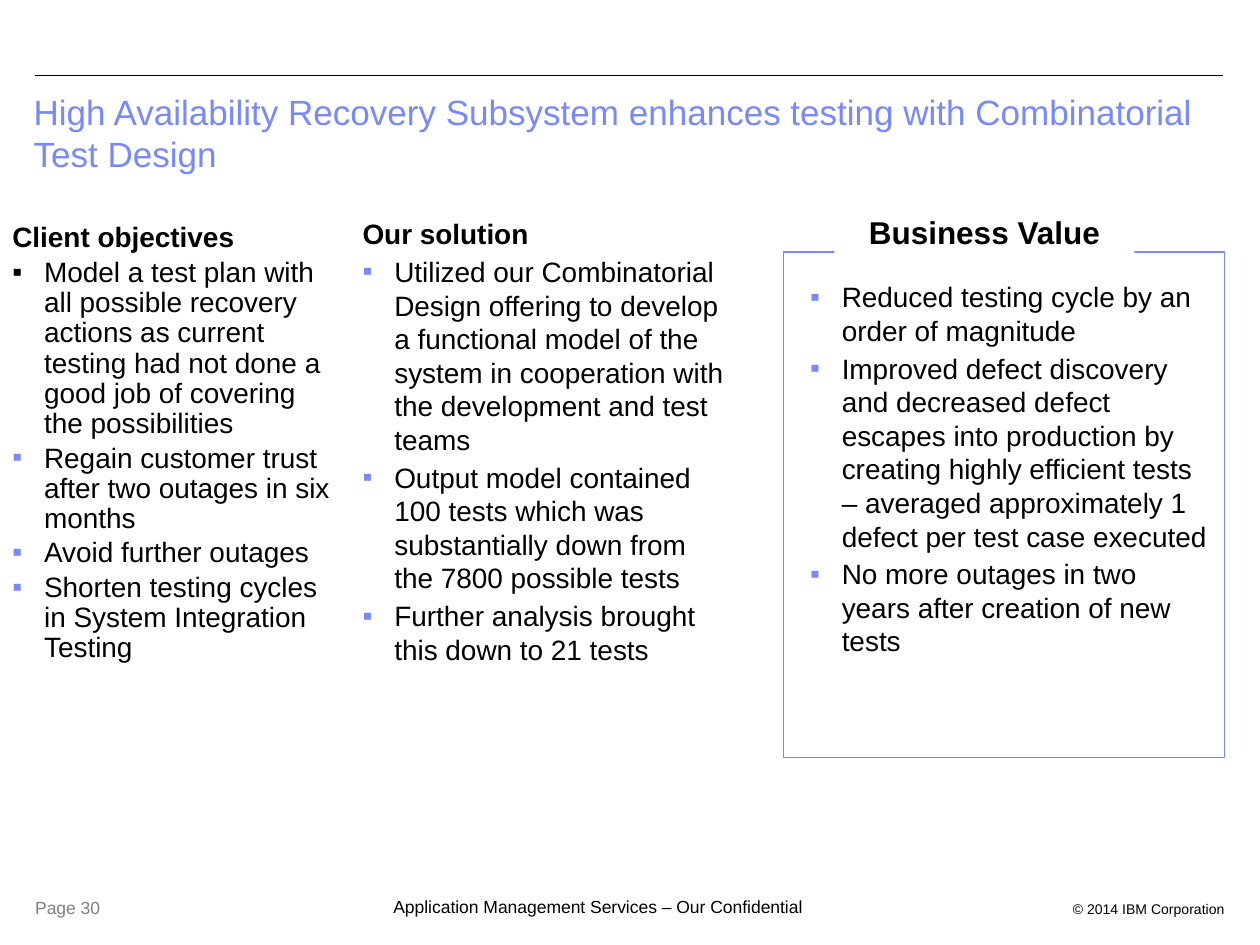
from lxml import etree
from pptx import Presentation
from pptx.dml.color import RGBColor
from pptx.enum.shapes import MSO_CONNECTOR, MSO_SHAPE
from pptx.enum.text import MSO_ANCHOR, PP_ALIGN
from pptx.oxml.ns import qn
from pptx.util import Cm, Pt

LEFT, CENTER, RIGHT = PP_ALIGN.LEFT, PP_ALIGN.CENTER, PP_ALIGN.RIGHT
TOP = MSO_ANCHOR.TOP
STRAIGHT = MSO_CONNECTOR.STRAIGHT
RECTANGLE = MSO_SHAPE.RECTANGLE

FONT = "Arial"
BLACK, WHITE, GREY, BLUE = "000000", "FFFFFF", "808080", "7889FB"
HANG = Cm(0.64)
PAD_X, PAD_Y = 0.25, 0.13
BODY_SIZE = 16
ITEM_GAP = 0.15

OBJECTIVES = [
    "Model a test plan with all possible recovery actions as current testing "
    "had not done a good job of covering the possibilities",
    "Regain customer trust after two outages in six months",
    "Avoid further outages",
    "Shorten testing cycles in System Integration Testing",
]
SOLUTION = [
    "Utilized our Combinatorial Design offering to develop a functional model "
    "of the system in cooperation with the development and test teams",
    "Output model contained 100 tests which was substantially down from the "
    "7800 possible tests",
    "Further analysis brought this down to 21 tests",
]
VALUE = [
    "Reduced testing cycle by an order of magnitude",
    "Improved defect discovery and decreased defect escapes into production by "
    "creating highly efficient tests – averaged approximately 1 defect per test "
    "case executed",
    "No more outages in two years after creation of new tests",
]


def rgb(color):
    return RGBColor.from_string(color)


def add_frame(slide, left, top, width, height, pad_x=PAD_X, pad_y=PAD_Y):
    box = slide.shapes.add_textbox(Cm(left), Cm(top), Cm(width), Cm(height))
    frame = box.text_frame
    frame.word_wrap = True
    frame.vertical_anchor = TOP
    frame.margin_left = frame.margin_right = Cm(pad_x)
    frame.margin_top = frame.margin_bottom = Cm(pad_y)
    return frame


def set_hanging(paragraph, bullet=None):
    properties = paragraph._p.get_or_add_pPr()
    properties.set("marL", str(HANG))
    properties.set("indent", str(-HANG))
    if bullet:
        tint = etree.SubElement(properties, qn("a:buClr"))
        etree.SubElement(tint, qn("a:srgbClr"), val=bullet)
        etree.SubElement(properties, qn("a:buFont"), typeface=FONT)
        etree.SubElement(properties, qn("a:buChar"), char="▪")
    else:
        etree.SubElement(properties, qn("a:buNone"))


def write(frame, text, size=BODY_SIZE, color=BLACK, bold=False, align=LEFT,
          hanging=False, bullet=None, gap=0, spacing=None):
    first = frame.paragraphs[0]
    started = bool(first.runs)
    paragraph = frame.add_paragraph() if started else first
    if hanging or bullet:
        set_hanging(paragraph, bullet)
    paragraph.alignment = align
    if started:
        paragraph.space_before = Pt(size * gap)
    if spacing:
        paragraph.line_spacing = spacing
    run = paragraph.add_run()
    run.text = text
    run.font.name = FONT
    run.font.size = Pt(size)
    run.font.bold = bold
    run.font.color.rgb = rgb(color)


def add_masthead(slide, left, top, width):
    rule = slide.shapes.add_connector(
        STRAIGHT, Cm(left + 0.28), Cm(top), Cm(left + width), Cm(top))
    rule.line.color.rgb = rgb(BLACK)
    rule.line.width = Pt(0.75)
    etree.SubElement(rule._element.spPr, qn("a:effectLst"))
    title = add_frame(slide, left, top + 0.18, width - 0.15, 1.7)
    write(title, "High Availability Recovery Subsystem enhances testing with "
          "Combinatorial Test Design", size=20, color=BLUE)


def add_footer(slide, left, top, width):
    page = add_frame(slide, left, top, 2.03, 0.69)
    write(page, "Page 30", size=10, color=GREY)
    notice = add_frame(slide, left + 7.47, top + 0.1, 9.65, 0.43, 0, 0)
    write(notice, "Application Management Services – Our Confidential", size=10)
    rights = add_frame(slide, left + width - 8.48, top + 0.07, 8.48, 0.58)
    write(rights, "© 2014 IBM Corporation", size=8, align=RIGHT)


def add_column(slide, left, top, width, height, items, heading=None,
               first_bullet=BLUE, first_gap=ITEM_GAP, spacing=None):
    frame = add_frame(slide, left, top, width, height)
    if heading:
        write(frame, heading, bold=True, hanging=True)
    for index, item in enumerate(items):
        write(frame, item, bullet=BLUE if index else first_bullet,
              gap=ITEM_GAP if index else first_gap, spacing=spacing)


def add_rectangle(slide, left, top, width, height, fill=None, line=None):
    shape = slide.shapes.add_shape(
        RECTANGLE, Cm(left), Cm(top), Cm(width), Cm(height))
    shape.shadow.inherit = False
    if fill:
        shape.fill.solid()
        shape.fill.fore_color.rgb = rgb(fill)
    else:
        shape.fill.background()
    if line:
        shape.line.color.rgb = rgb(line)
        shape.line.width = Pt(0.75)
    else:
        shape.line.fill.background()
    return shape


def add_value_panel(slide, left, top, width, height, items):
    add_column(slide, left + 0.28, top + 0.43, width - 0.33, height - 1.95, items)
    add_rectangle(slide, left, top, width, height, line=BLUE)
    label = add_rectangle(slide, left + 1.02, top - 0.91, 6.05, 1.02, fill=WHITE)
    label.text_frame.vertical_anchor = TOP
    write(label.text_frame, "Business Value", size=18, bold=True, align=CENTER)


def main():
    deck = Presentation()
    deck.slide_width, deck.slide_height = Cm(25.4), Cm(19.05)
    slide = deck.slides.add_slide(deck.slide_layouts[6])
    add_masthead(slide, 0.43, 1.52, 24.23)
    add_footer(slide, 0.46, 17.96, 24.48)
    add_column(slide, 0, 4.29, 6.96, 13.16, OBJECTIVES, heading="Client objectives",
               first_bullet=BLACK, first_gap=0.2, spacing=0.9)
    add_column(slide, 7.06, 4.24, 7.85, 6.55, SOLUTION, heading="Our solution")
    add_value_panel(slide, 15.8, 5.08, 8.89, 10.19, VALUE)
    deck.save("out.pptx")


if __name__ == "__main__":
    main()
